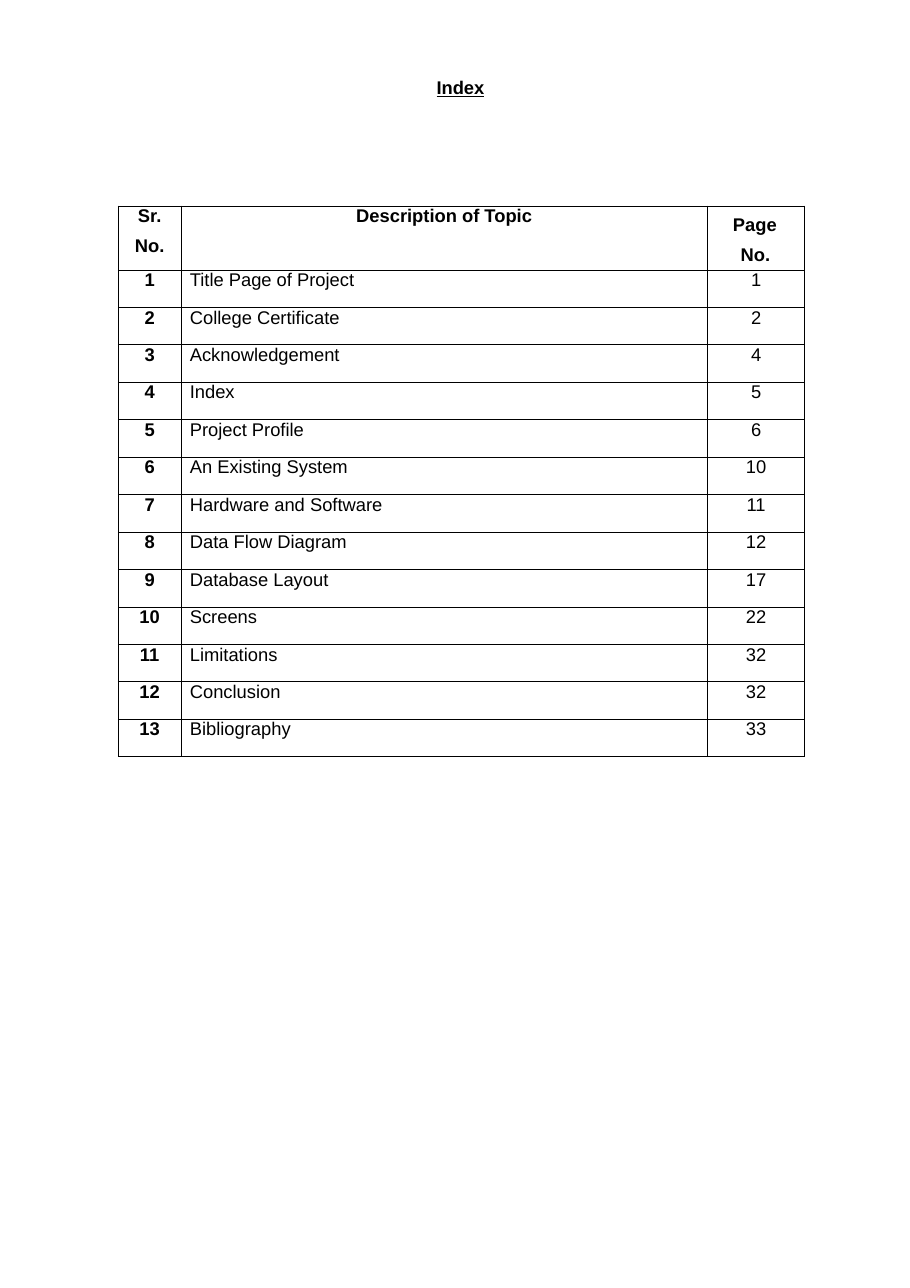
from dataclasses import dataclass

from lxml.etree import SubElement
from pptx import Presentation
from pptx.dml.color import RGBColor
from pptx.enum.text import MSO_ANCHOR as Anchor, MSO_AUTO_SIZE as AutoSize, PP_ALIGN as Align
from pptx.oxml.ns import qn
from pptx.util import Inches, Pt

BLACK = RGBColor(0x00, 0x00, 0x00)
FONT = "Arial"
TEXT_SIZE = Pt(12)
BORDER_WIDTH = Pt(0.58)

# Page and table grid, in inches
PAGE_WIDTH, PAGE_HEIGHT = 8.26, 11.69
COLUMNS = [0.57, 4.78, 0.88]
HEADER_ROW, TOPIC_ROW = 0.58, 0.34
TABLE_LEFT, TABLE_TOP = 0.13 * PAGE_WIDTH, 0.16 * PAGE_HEIGHT


@dataclass
class CellStyle:
    bold: bool = False
    align: Align = Align.LEFT
    margin: float = 0
    indent: float = 0
    line_spacing: float = 1.0


@dataclass
class Topic:
    name: str
    page: int


HEADERS = [
    (["Sr.", "No."], CellStyle(bold=True, align=Align.CENTER)),
    (["Description of Topic"], CellStyle(bold=True, margin=1.59)),
    (["Page No."], CellStyle(bold=True, margin=0.3, indent=-0.07, line_spacing=1.44)),
]
TOPIC_STYLES = [
    CellStyle(bold=True, align=Align.CENTER),
    CellStyle(margin=0.08),
    CellStyle(align=Align.CENTER),
]
TOPICS = [
    Topic("Title Page of Project", 1),
    Topic("College Certificate", 2),
    Topic("Acknowledgement", 4),
    Topic("Index", 5),
    Topic("Project Profile", 6),
    Topic("An Existing System", 10),
    Topic("Hardware and Software", 11),
    Topic("Data Flow Diagram", 12),
    Topic("Database Layout", 17),
    Topic("Screens", 22),
    Topic("Limitations", 32),
    Topic("Conclusion", 32),
    Topic("Bibliography", 33),
]


def set_font(para, bold: bool) -> None:
    font = para.font
    font.name, font.size, font.bold = FONT, TEXT_SIZE, bold
    font.color.rgb = BLACK


def clear_margins(box) -> None:
    box.margin_left = box.margin_right = box.margin_top = box.margin_bottom = 0
    box.vertical_anchor = Anchor.TOP


def add_borders(cell) -> None:
    properties = cell._tc.get_or_add_tcPr()
    for side in ("lnL", "lnR", "lnT", "lnB"):
        line = SubElement(properties, qn(f"a:{side}"), w=str(BORDER_WIDTH))
        fill = SubElement(line, qn("a:solidFill"))
        SubElement(fill, qn("a:srgbClr"), val=str(BLACK))


def fill_cell(cell, lines: list[str], style: CellStyle) -> None:
    clear_margins(cell)
    add_borders(cell)
    cell.fill.background()
    cell.text_frame.text = "\n".join(lines)
    for number, para in enumerate(cell.text_frame.paragraphs):
        para.alignment = style.align
        para.line_spacing = style.line_spacing
        if number:
            para.space_before = Pt(6.3)
        if style.margin:
            properties = para._p.get_or_add_pPr()
            properties.set("marL", str(Inches(style.margin)))
            properties.set("indent", str(Inches(style.indent)))
        set_font(para, style.bold)


def add_title(page) -> None:
    title = page.shapes.title
    title.left, title.top = Inches(3.95), Inches(0.69)
    title.width, title.height = Inches(0.46), Inches(0.19)
    frame = title.text_frame
    clear_margins(frame)
    frame.word_wrap = False
    frame.auto_size = AutoSize.NONE
    frame.text = "Index"
    para = frame.paragraphs[0]
    para.alignment = Align.CENTER
    set_font(para, bold=True)
    para.font.underline = True


def add_index_table(page) -> None:
    heights = [HEADER_ROW] + [TOPIC_ROW] * len(TOPICS)
    table = page.shapes.add_table(
        len(heights), len(COLUMNS), Inches(TABLE_LEFT), Inches(TABLE_TOP),
        Inches(sum(COLUMNS)), Inches(sum(heights)),
    ).table
    table.first_row = table.horz_banding = False
    for column, width in zip(table.columns, COLUMNS):
        column.width = Inches(width)
    for row, height in zip(table.rows, heights):
        row.height = Inches(height)

    # Header row
    for column, (lines, style) in enumerate(HEADERS):
        fill_cell(table.cell(0, column), lines, style)

    # One numbered row per topic
    for number, topic in enumerate(TOPICS, start=1):
        texts = [str(number), topic.name, str(topic.page)]
        for column, (text, style) in enumerate(zip(texts, TOPIC_STYLES)):
            fill_cell(table.cell(number, column), [text], style)


def main() -> None:
    deck = Presentation()
    deck.slide_width, deck.slide_height = Inches(PAGE_WIDTH), Inches(PAGE_HEIGHT)
    page = deck.slides.add_slide(deck.slide_layouts[5])
    add_title(page)
    add_index_table(page)
    deck.save("out.pptx")


if __name__ == "__main__":
    main()
